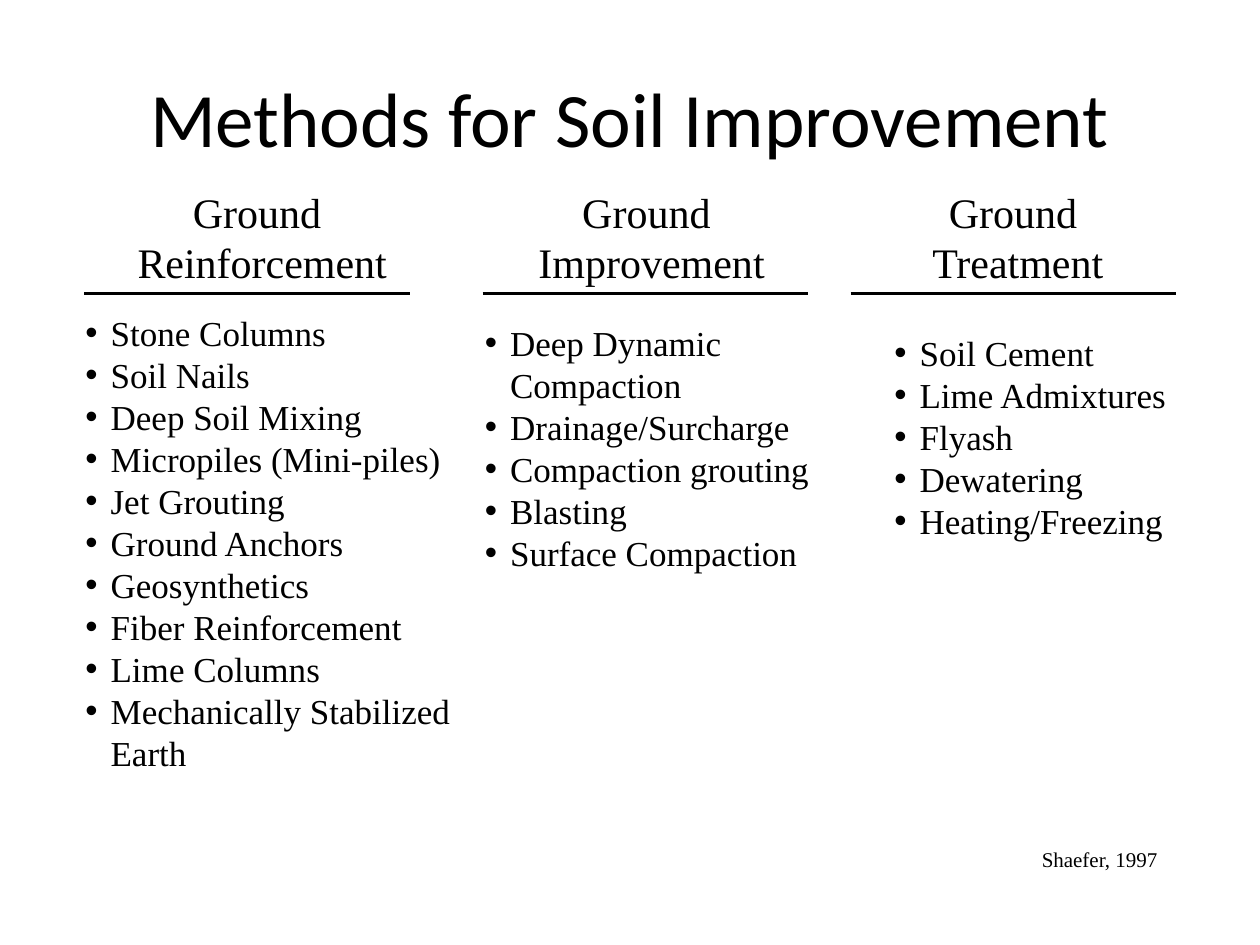
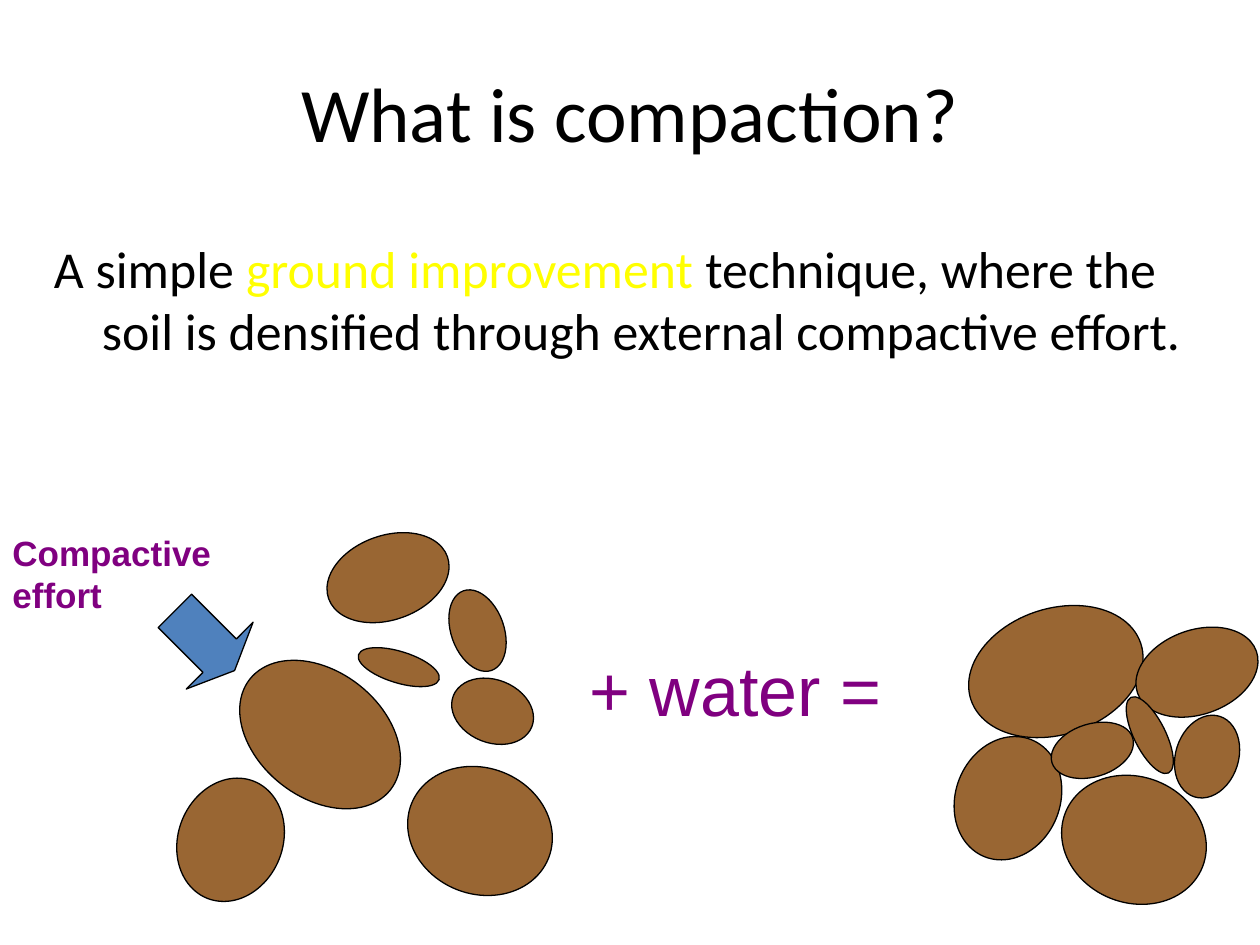
import pptx
import pptx.util
import pptx.dml.color
import pptx.enum.shapes
import pptx.enum.text
import pptx.oxml.ns
import lxml.etree

Inches = pptx.util.Inches
RGBColor = pptx.dml.color.RGBColor
Shape = pptx.enum.shapes.MSO_SHAPE
Align = pptx.enum.text.PP_ALIGN
Anchor = pptx.enum.text.MSO_ANCHOR

BLACK = RGBColor(0x00, 0x00, 0x00)
YELLOW = RGBColor(0xFF, 0xFF, 0x00)
PURPLE = RGBColor(0x80, 0x00, 0x80)
BROWN = RGBColor(0x99, 0x66, 0x33)
BLUE = RGBColor(0x4F, 0x81, 0xBD)

SANS, SERIF, LABEL = "Calibri", "Times New Roman", "Arial"

# heading left, rule left, list left, list width, heading word, methods
COLUMNS = [
    (0.83, 0.67, 0.58, 3.17, "Reinforcement",
     ["Stone Columns", "Soil Nails", "Deep Soil Mixing",
      "Micropiles (Mini-piles)", "Jet Grouting", "Ground Anchors",
      "Geosynthetics", "Fiber Reinforcement", "Lime Columns",
      "Mechanically Stabilized Earth"]),
    (3.92, 3.83, 3.75, 2.83, "Improvement",
     ["Deep Dynamic Compaction", "Drainage/Surcharge",
      "Compaction grouting", "Blasting", "Surface Compaction"]),
    (6.83, 6.75, 7, 2.42, "Treatment",
     ["Soil Cement", "Lime Admixtures", "Flyash", "Dewatering",
      "Heating/Freezing"]),
]

# left, top, width, height, rotation
LOOSE = [
    (2.58, 4.25, 1, 0.67, 340.5),
    (1.83, 5.33, 1.42, 1, 38.2),
    (3.66, 5.31, 0.5, 0.67, 291.6),
    (2.83, 5.17, 0.67, 0.25, 17.1),
    (3.31, 6.01, 1, 1.17, 291.6),
    (1.33, 6.25, 1, 0.83, 291.6),
    (3.58, 4.67, 0.42, 0.67, 340.5),
]
DENSE = [
    (7.67, 4.83, 1.42, 1, 341.7),
    (8.5, 6.08, 1, 1.17, 291.6),
    (7.5, 5.92, 1, 0.83, 291.6),
    (9, 5, 1, 0.67, 340.5),
    (8.46, 5.62, 0.42, 0.67, 252.9),
    (8.79, 5.71, 0.67, 0.25, 63.5),
    (9.33, 5.67, 0.5, 0.67, 17.4),
]


class Deck:
    def __init__(self):
        self.file = pptx.Presentation()
        self.file.slide_width = Inches(10)
        self.file.slide_height = Inches(7.5)
        self.slide = None

    def start(self, title, top, height):
        self.slide = self.file.slides.add_slide(self.file.slide_layouts[6])
        box = self.text((0.5, top, 9, height), [title], 44, SANS,
                        align=Align.CENTER)
        box.text_frame.vertical_anchor = Anchor.MIDDLE

    def text(self, place, lines, size, font, color=BLACK, bold=False,
             align=Align.LEFT, hang=0, bullet=False):
        """Add a text box with one paragraph for each line."""
        box = self.slide.shapes.add_textbox(*map(Inches, place))
        frame = box.text_frame
        frame.word_wrap = True
        frame.text = "\n".join(lines)
        for para in frame.paragraphs:
            para.alignment = align
            if hang:
                self.indent(para, hang, bullet)
            for run in para.runs:
                run.font.size = pptx.util.Pt(size)
                run.font.name = font
                run.font.bold = bold
                run.font.color.rgb = color
        return box

    def indent(self, para, hang, bullet):
        props = para._p.get_or_add_pPr()
        props.set("marL", str(Inches(hang)))
        props.set("indent", str(-Inches(hang)))
        if bullet:
            qn = pptx.oxml.ns.qn
            face = lxml.etree.SubElement(props, qn("a:buFont"))
            face.set("typeface", LABEL)
            mark = lxml.etree.SubElement(props, qn("a:buChar"))
            mark.set("char", "•")

    def rule(self, left, top, width):
        line = self.slide.shapes.add_connector(
            pptx.enum.shapes.MSO_CONNECTOR.STRAIGHT, Inches(left),
            Inches(top), Inches(left + width), Inches(top))
        line.line.color.rgb = BLACK
        line.line.width = pptx.util.Pt(1.5)
        lxml.etree.SubElement(line._element.spPr,
                              pptx.oxml.ns.qn("a:effectLst"))

    def shape(self, kind, place, turn, fill, group=None):
        """Add an outlined, rotated shape to the group or the slide."""
        shapes = (group or self.slide).shapes
        shape = shapes.add_shape(kind, *map(Inches, place))
        shape.shadow.inherit = False
        shape.rotation = turn
        shape.fill.solid()
        shape.fill.fore_color.rgb = fill
        shape.line.color.rgb = BLACK
        shape.line.width = pptx.util.Pt(0.75)
        return shape

    def grains(self, grains):
        group = self.slide.shapes.add_group_shape()
        for *place, turn in grains:
            self.shape(Shape.OVAL, place, turn, BROWN, group)


def methods(deck):
    deck.start("Methods for Soil Improvement", 0.3, 1.25)
    for num, (head, rule, left, width, word, items) in enumerate(COLUMNS):
        deck.text((head, 1.43, 2.42, 0.9), ["Ground", " " + word], 24, SERIF,
                  align=Align.CENTER)
        deck.text((left, 2.42 + 0.08 * num, width, 0.1 + len(items) / 3),
                  items, 20, SERIF, hang=0.2, bullet=True)
        deck.rule(rule, 2.33, 2.58)
    deck.text((8.17, 6.67, 1.33, 0.3), ["Shaefer, 1997"], 12, SERIF)


def compaction(deck):
    deck.start("What is compaction?", 0.39, 1)
    body = deck.text((0.33, 1.83, 9.25, 1.33), ["A simple "], 29.6, SANS,
                     hang=0.38)
    para = body.text_frame.paragraphs[0]
    for words, color in [
            ("ground improvement", YELLOW),
            (" technique, where the soil is densified through external "
             "compactive effort.", BLACK)]:
        run = para.add_run()
        run.text = words
        run.font.size = pptx.util.Pt(29.6)
        run.font.name = SANS
        run.font.color.rgb = color

    deck.grains(LOOSE)
    arrow = deck.shape(Shape.LEFT_ARROW, (1.29, 4.71, 0.67, 0.75), 225, BLUE)
    arrow.adjustments[0] = 0.5
    arrow.adjustments[1] = 0.25
    deck.text((4.58, 5.08, 2.67, 0.77), ["+ water ="], 40, LABEL, PURPLE)
    deck.text((0, 4.17, 1.92, 0.77), ["Compactive effort"], 20, LABEL, PURPLE,
              bold=True)
    deck.grains(DENSE)


def main():
    deck = Deck()
    methods(deck)
    compaction(deck)
    deck.file.save("out.pptx")


if __name__ == "__main__":
    main()
